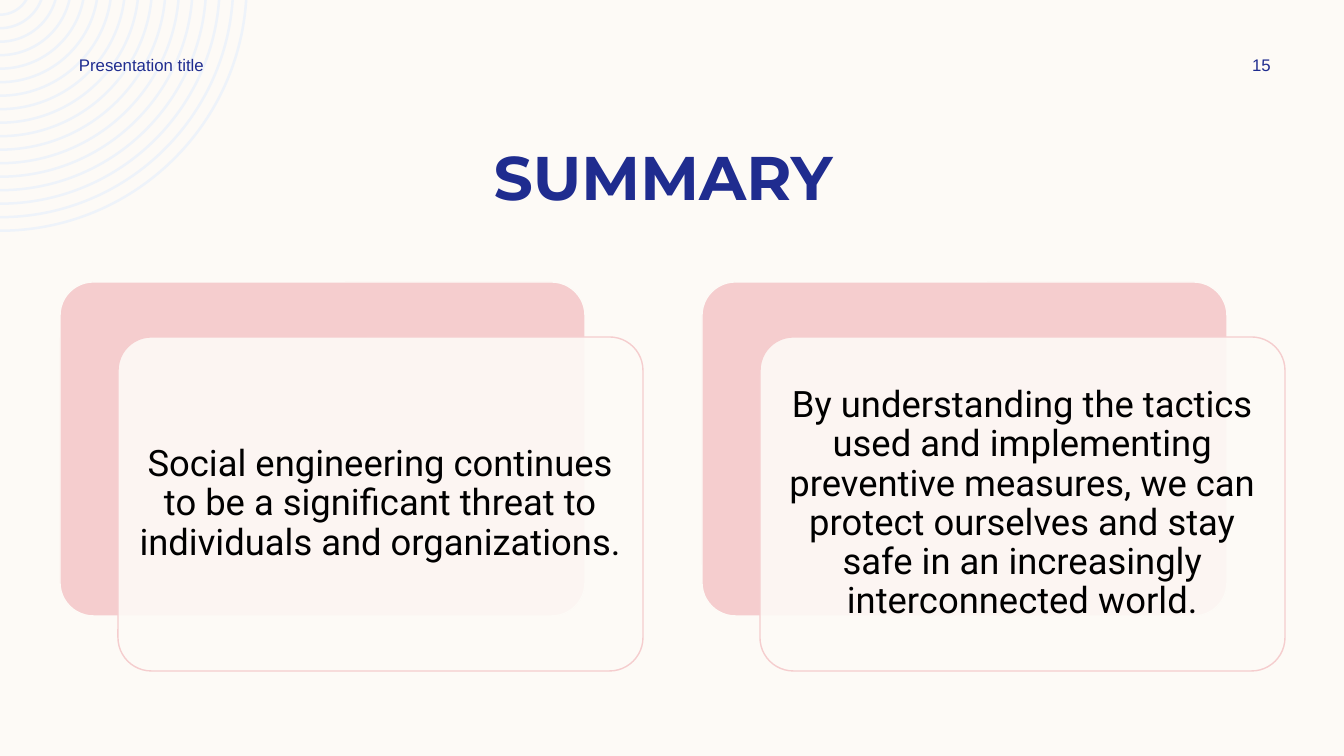
"""Builds the summary slide with two layered text cards."""
from dataclasses import dataclass
from math import asin, cos, pi, sin, tan

from lxml import etree
from pptx import Presentation
from pptx.dml.color import RGBColor
from pptx.enum.shapes import MSO_SHAPE
from pptx.enum.text import MSO_ANCHOR, PP_ALIGN
from pptx.oxml.ns import qn
from pptx.util import Pt

ROUNDED = MSO_SHAPE.ROUNDED_RECTANGLE
TOP, MIDDLE = MSO_ANCHOR.TOP, MSO_ANCHOR.MIDDLE
LEFT, CENTER = PP_ALIGN.LEFT, PP_ALIGN.CENTER
EMU_PER_PX = 914400 / 100.8
WIDTH, HEIGHT = 1344, 756


@dataclass(frozen=True)
class Theme:
    paper: str = "FDFAF6"
    rings: str = "EEF3FA"
    navy: str = "1F2C8F"
    pink: str = "F5CDCE"
    ink: str = "000000"
    title_size: int = 44
    body_size: int = 26
    label_size: int = 12
    title_font: str = "Montserrat"
    body_font: str = "Roboto"
    label_font: str = "Arial"


def px(length):
    return round(length * EMU_PER_PX)


def assign(target, values):
    for name, value in values.items():
        setattr(target, name, value)


def arc(center_y, radius):
    start = asin(-center_y / radius)
    reach = radius * 4 / 3 * tan((pi / 2 - start) / 4)
    x, y = radius * cos(start), radius * sin(start)
    points = [(x, y), (x - reach * sin(start), y + reach * cos(start)),
              (reach, radius), (0, radius)]
    return [(px(across), px(center_y + down)) for across, down in points]


def curve(lines):
    bezier = etree.Element(qn("a:cubicBezTo"))
    lines[0].addprevious(bezier)
    for line in lines:
        bezier.append(line[0])
        line.getparent().remove(line)


class SlideBuilder:
    def __init__(self, page, theme):
        self.page = page
        self.theme = theme
        self.paint(page.background.fill, theme.paper)

    def paint(self, fill, color):
        fill.solid()
        fill.fore_color.rgb = RGBColor.from_string(color)

    def rings(self, center_y, radius, step, thickness, count):
        bands = []
        for index in range(count):
            outer = radius - index * step
            bands.append(arc(center_y, outer) + arc(center_y, outer - thickness)[::-1])
        builder = self.page.shapes.build_freeform(*bands[0][0])
        for index, band in enumerate(bands):
            if index:
                builder.move_to(*band[0])
            builder.add_line_segments(band[1:], close=True)
        shape = builder.convert_to_shape()
        lines = list(shape.element.spPr.iter(qn("a:lnTo")))
        for first in range(0, len(lines), 7):
            curve(lines[first:first + 3])
            curve(lines[first + 4:first + 7])
        shape.shadow.inherit = False
        self.paint(shape.fill, self.theme.rings)
        shape.line.fill.background()

    def text(self, frame, words, font, size, color, align=LEFT, anchor=MIDDLE,
             inset=None, bold=False, **spacing):
        box = self.page.shapes.add_textbox(*map(px, frame))
        body = box.text_frame
        assign(body, {"word_wrap": True, "vertical_anchor": anchor})
        if inset is not None:
            sides = ("margin_left", "margin_top", "margin_right", "margin_bottom")
            assign(body, dict.fromkeys(sides, px(inset)))
        para = body.paragraphs[0]
        assign(para, {"alignment": align, **spacing})
        span = para.add_run()
        span.text = words
        assign(span.font, {"name": font, "size": Pt(size), "bold": bold})
        span.font.color.rgb = RGBColor.from_string(color)

    def panel(self, frame, fill, line, opacity=100):
        shape = self.page.shapes.add_shape(ROUNDED, *map(px, frame))
        shape.shadow.inherit = False
        shape.adjustments[0] = 0.1
        self.paint(shape.fill, fill)
        self.paint(shape.line.fill, line)
        shape.line.width = Pt(1)
        if opacity < 100:
            color = shape.element.spPr.find(qn("a:solidFill"))[0]
            etree.SubElement(color, qn("a:alpha")).set("val", str(opacity * 1000))

    def card(self, left, top, words):
        theme = self.theme
        width, height = 525, 334
        front_left, front_top = left + 58, top + 55
        self.panel((left, top, width, height), theme.pink, theme.paper)
        self.panel((front_left, front_top, width, height), theme.paper, theme.pink, 90)
        self.text((front_left + 10, front_top + 10, width - 20, height - 20), words,
                  theme.body_font, theme.body_size, theme.ink, CENTER, inset=11,
                  line_spacing=0.9, space_after=Pt(9))


def main():
    deck = Presentation()
    assign(deck, {"slide_width": px(WIDTH), "slide_height": px(HEIGHT)})
    theme = Theme()
    slide = SlideBuilder(deck.slides.add_slide(deck.slide_layouts[6]), theme)

    slide.rings(center_y=-16, radius=248, step=13.5, thickness=2.5, count=17)
    slide.text((84, 134, 1176, 84), "SUMMARY ", theme.title_font, theme.title_size,
               theme.navy, CENTER, TOP, bold=True)
    labels = [((69, 50, 353, 30), "Presentation title", LEFT),
              ((1207, 50, 109, 30), "15", CENTER)]
    for frame, words, align in labels:
        slide.text(frame, words, theme.label_font, theme.label_size, theme.navy,
                   align, space_after=Pt(6))

    messages = [
        "Social engineering continues to be a significant threat to individuals "
        "and organizations.",
        "By understanding the tactics used and implementing preventive measures, "
        "we can protect ourselves and stay safe in an increasingly interconnected world.",
    ]
    for index, words in enumerate(messages):
        slide.card(60 + index * 642, 282, words)
    deck.save("out.pptx")


if __name__ == "__main__":
    main()
